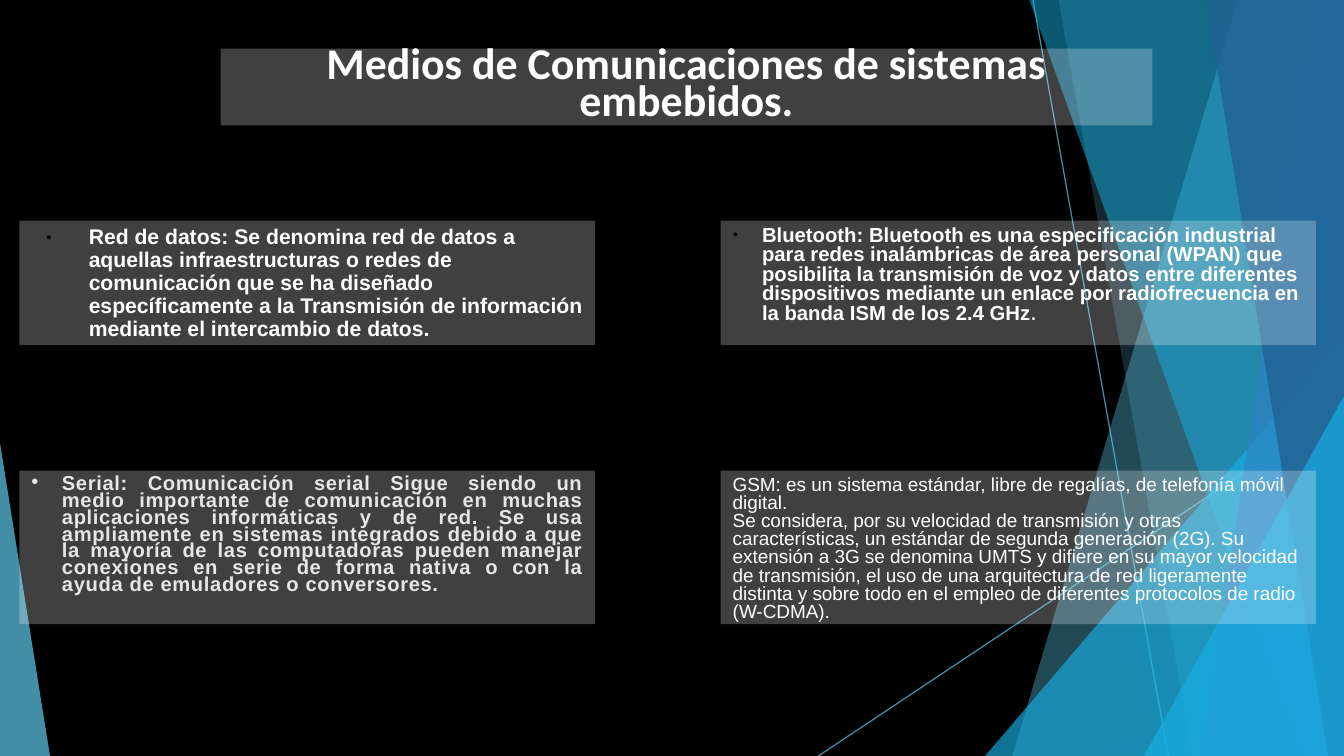
from lxml import etree
from pptx import Presentation
from pptx.dml.color import RGBColor
from pptx.enum.shapes import MSO_CONNECTOR, MSO_SHAPE
from pptx.enum.text import MSO_ANCHOR, PP_ALIGN
from pptx.oxml.ns import qn
from pptx.util import Inches, Pt

LEFT, CENTER, JUSTIFY = PP_ALIGN.LEFT, PP_ALIGN.CENTER, PP_ALIGN.JUSTIFY
TOP, MIDDLE = MSO_ANCHOR.TOP, MSO_ANCHOR.MIDDLE
RECTANGLE, TRIANGLE = MSO_SHAPE.RECTANGLE, MSO_SHAPE.ISOSCELES_TRIANGLE
STRAIGHT = MSO_CONNECTOR.STRAIGHT

BLACK = RGBColor(0x00, 0x00, 0x00)
WHITE = RGBColor(0xFF, 0xFF, 0xFF)
SILVER = RGBColor(0xE7, 0xE6, 0xE6)
SKY = RGBColor(0x5F, 0xCB, 0xEF)
CYAN = RGBColor(0x17, 0xB0, 0xE4)
BLUE = RGBColor(0x2E, 0x83, 0xC3)
NAVY = RGBColor(0x22, 0x62, 0x92)

deck = Presentation()
deck.slide_width, deck.slide_height = Inches(11.02), Inches(6.2)
page = deck.slides.add_slide(deck.slide_layouts[6])
page.background.fill.solid()
page.background.fill.fore_color.rgb = BLACK

# A grid of 100 columns and 100 rows covers the slide
COLUMN, ROW = deck.slide_width / 100, deck.slide_height / 100


def paint(shape, color, opacity):
    """Give a shape a translucent fill without outline or shadow."""
    shape.shadow.inherit = False
    shape.line.fill.background()
    shape.fill.solid()
    shape.fill.fore_color.rgb = color
    tint = shape.fill._xPr.find(qn("a:solidFill"))[0]
    etree.SubElement(tint, qn("a:alpha"), val=str(opacity * 1000))


def write(box, text, size=12, font="Arial", color=WHITE, bold=False, align=LEFT,
          spacing=1.0, before=0, tracking=0, indent=0, hanging=0,
          bullet=None, bullet_color=BLACK, bullet_size=100, tail=None):
    """Add one paragraph; an empty first paragraph is used up before a new one."""
    frame = box.text_frame
    para = frame.paragraphs[0] if not frame.text else frame.add_paragraph()
    para.alignment, para.line_spacing, para.space_before = align, spacing, Pt(before)
    layout = para._p.get_or_add_pPr()
    layout.set("marL", str(Inches(indent)))
    layout.set("indent", str(-Inches(hanging)))
    if bullet:
        tint = etree.SubElement(layout, qn("a:buClr"))
        etree.SubElement(tint, qn("a:srgbClr"), val=str(bullet_color))
        etree.SubElement(layout, qn("a:buSzPct"), val=str(bullet_size * 1000))
        etree.SubElement(layout, qn("a:buFont"), typeface="Arial")
        etree.SubElement(layout, qn("a:buChar"), char=bullet)
    pieces = [(text, font, color, tracking)] + ([tail] if tail else [])
    for words, face, shade, gap in pieces:
        span = para.add_run()
        span.text = words
        span.font.name, span.font.size, span.font.bold = face, Pt(size), bold
        span.font.color.rgb = shade
        if gap:
            span.font._element.set("spc", str(int(gap * 100)))


# Thin crossing lines: start and end as column, row
for x1, y1, x2, y2 in [(76.86, 0, 86.93, 100), (100, 53.71, 60.89, 100)]:
    line = page.shapes.add_connector(STRAIGHT, int(x1 * COLUMN), int(y1 * ROW),
                                     int(x2 * COLUMN), int(y2 * ROW))
    line.line.width = Pt(0.75)
    line.line.color.rgb = SKY
    tint = line.line.fill._xPr.find(qn("a:solidFill"))[0]
    etree.SubElement(tint, qn("a:alpha"), val="70000")
    etree.SubElement(line._element.spPr, qn("a:effectLst"))

# Facets, back to front. Panel: top and bottom column of its slanted edge.
# Triangle: left column, top row, width, place of the apex.
facets = [
    ("panel", (92.11, 75.32), SKY, 36),
    ("panel", (78.77, 88.75), SKY, 20),
    ("triangle", (73.3, 44.45, 26.7, 1), CYAN, 66),
    ("panel", (76.59, 96.82), CYAN, 50),
    ("panel", (97.82, 89.38), BLUE, 70),
    ("panel", (89.75, 98.82), NAVY, 80),
    ("triangle", (85.12, 52.4, 14.88, 1), CYAN, 66),
    ("triangle", (0, 58.6, 3.72, 0), SKY, 70),
]
for kind, place, color, opacity in facets:
    if kind == "panel":
        upper, lower = place
        outline = page.shapes.build_freeform(int(upper * COLUMN), 0)
        outline.add_line_segments([(deck.slide_width, 0),
                                   (deck.slide_width, deck.slide_height),
                                   (int(lower * COLUMN), deck.slide_height)])
        facet = outline.convert_to_shape()
    else:
        left, top, width, apex = place
        facet = page.shapes.add_shape(TRIANGLE, int(left * COLUMN), int(top * ROW),
                                      int(width * COLUMN), int((100 - top) * ROW))
        facet.adjustments[0] = apex
    paint(facet, color, opacity)

# Text boxes: left, top, width, height in grid units
left_side, right_side = (1.45, 42.83), (53.63, 44.28)
upper_row, lower_row = (29.19, 16.45), (62.26, 20.32)
places = [((16.42, 69.33), (6.45, 10.16))]
places += [(side, row) for row in (upper_row, lower_row) for side in (left_side, right_side)]
boxes = []
for (left, width), (top, height) in places:
    box = page.shapes.add_shape(RECTANGLE, int(left * COLUMN), int(top * ROW),
                                int(width * COLUMN), int(height * ROW))
    paint(box, WHITE, 25)
    box.text_frame.word_wrap = True
    box.text_frame.vertical_anchor = TOP
    boxes.append(box)
title, network, bluetooth, serial, gsm = boxes

# Title
title.text_frame.vertical_anchor = MIDDLE
write(title, "Medios de Comunicaciones de sistemas embebidos.", size=25.9,
      font="Calibri", bold=True, align=CENTER, spacing=0.7)

# Four media
write(network, "Red de datos: Se denomina red de datos a aquellas infraestructuras o redes "
      "de comunicación que se ha diseñado específicamente a la Transmisión de información "
      "mediante el intercambio de datos.", size=12.5, bold=True, spacing=0.9, before=14.2,
      indent=0.47, hanging=0.35, bullet="●", bullet_size=45)
write(bluetooth, "Bluetooth: Bluetooth es una especificación industrial para redes "
      "inalámbricas de área personal (WPAN) que posibilita la transmisión de voz y datos "
      "entre diferentes dispositivos mediante un enlace por radiofrecuencia en la banda "
      "ISM de los 2.4 GHz", size=12, bold=True, spacing=0.8, indent=0.24, hanging=0.24,
      bullet="●", bullet_size=45, tail=(".", "Calibri", SILVER, 0.4))
write(serial, "Serial: Comunicación serial Sigue siendo un medio importante de comunicación "
      "en muchas aplicaciones informáticas y de red. Se usa ampliamente en sistemas "
      "integrados debido a que la mayoría de las computadoras pueden manejar conexiones en "
      "serie de forma nativa o con la ayuda de emuladores o conversores.", size=11.9,
      color=SILVER, bold=True, align=JUSTIFY, spacing=0.7, before=10, tracking=0.4,
      indent=0.25, hanging=0.25, bullet="•", bullet_color=SILVER)
for text in [
    "GSM: es un sistema estándar, libre de regalías, de telefonía móvil digital.",
    "Se considera, por su velocidad de transmisión y otras características, un estándar de "
    "segunda generación (2G). Su extensión a 3G se denomina UMTS y difiere en su mayor "
    "velocidad de transmisión, el uso de una arquitectura de red ligeramente distinta y "
    "sobre todo en el empleo de diferentes protocolos de radio (W-CDMA).",
]:
    write(gsm, text, size=11.2, spacing=0.8)

deck.save("out.pptx")
